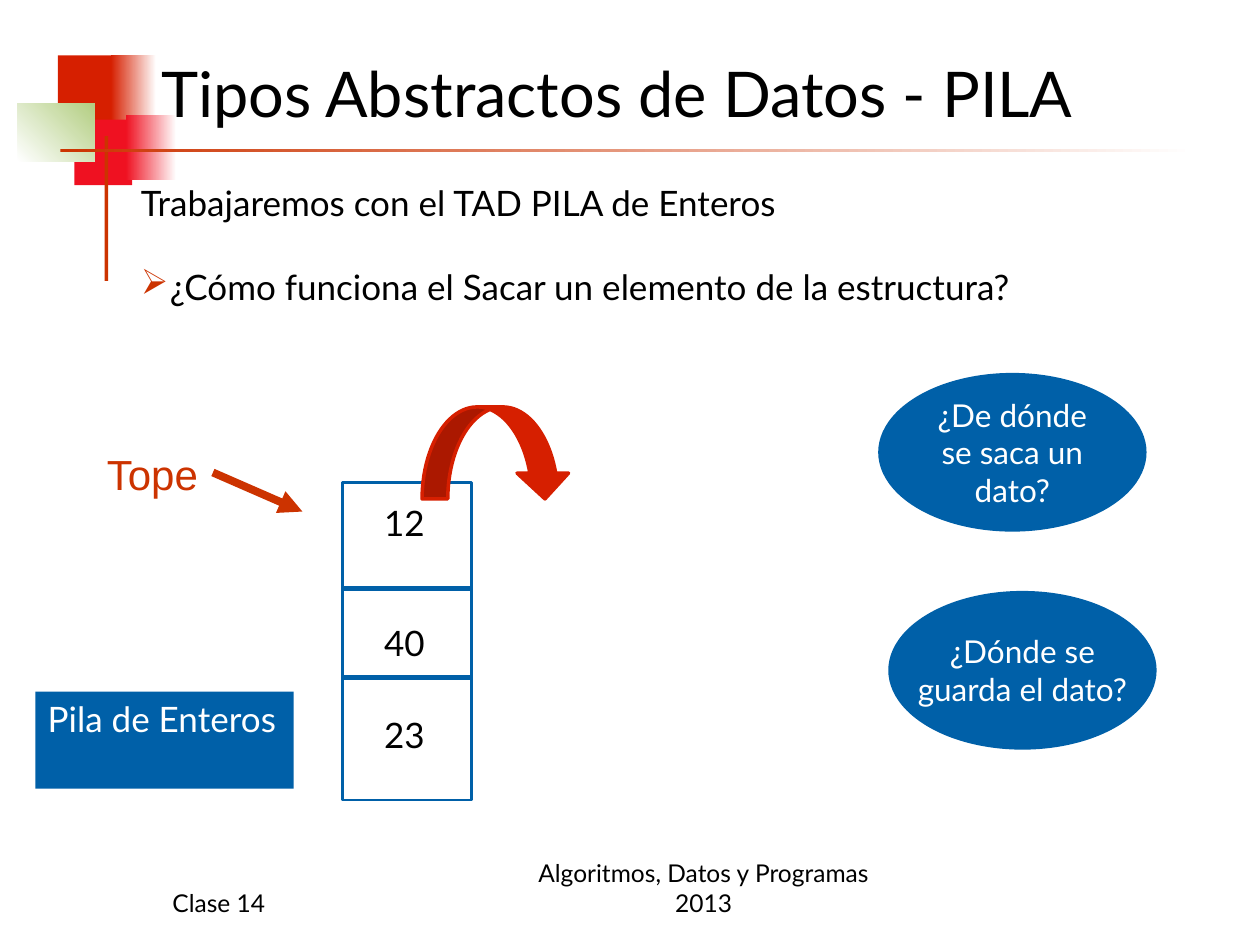
from lxml import etree
from pptx import Presentation
from pptx.dml.color import RGBColor
from pptx.enum.shapes import MSO_CONNECTOR, MSO_SHAPE
from pptx.enum.text import MSO_ANCHOR, PP_ALIGN
from pptx.oxml.ns import qn
from pptx.util import Inches, Pt

COLORS = {name: RGBColor.from_string(value) for name, value in {
    "black": "000000", "white": "FFFFFF", "blue": "0060A8", "red": "D61F00",
    "crimson": "EF1121", "green": "B3CE82", "rust": "CC3300",
}.items()}

presentation = Presentation()
presentation.slide_width, presentation.slide_height = Inches(10), Inches(7.5)
slide = presentation.slides.add_slide(presentation.slide_layouts[6])


def add_block(kind, box, fill=None, line=None, width=1.5):
    shape = slide.shapes.add_shape(kind, *map(Inches, box))
    shape.shadow.inherit = False
    if fill:
        shape.fill.solid()
        shape.fill.fore_color.rgb = COLORS[fill]
    else:
        shape.fill.background()
    if line:
        shape.line.color.rgb = COLORS[line]
        shape.line.width = Pt(width)
    else:
        shape.line.fill.background()
    return shape


def write(shape, lines, size, color="black", align=PP_ALIGN.LEFT,
          anchor=MSO_ANCHOR.TOP, wrap=True, font="Lato"):
    frame = shape.text_frame
    frame.word_wrap = wrap
    frame.vertical_anchor = anchor
    frame.text = "\n".join(lines)
    for paragraph in frame.paragraphs:
        paragraph.alignment = align
        paragraph.font.size = Pt(size)
        paragraph.font.name = font
        paragraph.font.color.rgb = COLORS[color]
    return frame


for box, start, end, angle in [
    ((0.46, 0.44, 0.48, 0.52), "red", None, 0),
    ((0.88, 0.44, 0.36, 0.52), "red", "white", 0),
    ((0.59, 0.95, 0.46, 0.52), "crimson", None, 0),
    ((1, 0.91, 0.4, 0.52), "crimson", "white", 0),
    ((0.14, 0.82, 0.61, 0.46), "white", "green", 45),
    ((0.83, 1.08, 0.03, 1.15), "rust", None, 0),
    ((0.48, 1.18, 9, 0.03), "rust", "white", 0),
]:
    block = add_block(MSO_SHAPE.RECTANGLE, box, start)
    if end:
        block.fill.gradient()
        block.fill.gradient_angle = angle
        for stop, name in zip(block.fill.gradient_stops, (start, end)):
            stop.color.rgb = COLORS[name]

for box, text, size, align in [
    ((1.18, 0.21, 7.76, 0.87), "Tipos Abstractos de Datos - PILA", 36, PP_ALIGN.LEFT),
    ((4, 6.83, 3.17, 0.5), "Algoritmos, Datos y Programas 2013", 14, PP_ALIGN.CENTER),
    ((1.27, 6.83, 2.08, 0.5), "Clase 14", 14, PP_ALIGN.LEFT),
]:
    write(slide.shapes.add_textbox(*map(Inches, box)), [text], size,
          align=align, anchor=MSO_ANCHOR.BOTTOM)

body = slide.shapes.add_textbox(Inches(1.02), Inches(1.39), Inches(8.7), Inches(1.77))
question = write(body, ["Trabajaremos con el TAD PILA de Enteros",
                        "¿Cómo funciona el Sacar un elemento de la estructura?"],
                 20, align=PP_ALIGN.JUSTIFY).paragraphs[1]
question.space_before = Pt(24)
properties = question._p.get_or_add_pPr()
properties.set("marL", str(Inches(0.23)))
properties.set("indent", str(-Inches(0.23)))
bullet_color = etree.Element(qn("a:buClr"))
etree.SubElement(bullet_color, qn("a:srgbClr"), val=str(COLORS["rust"]))
bullet = etree.Element(qn("a:buChar"), char="➢")
default_run = properties.find(qn("a:defRPr"))
default_run.addprevious(bullet_color)
default_run.addprevious(bullet)

add_block(MSO_SHAPE.RECTANGLE, (2.72, 3.83, 1.02, 2.52), line="blue")
for value, top in [("12", 3.93), ("40", 4.88), ("23", 5.61)]:
    box = slide.shapes.add_textbox(Inches(2.95), Inches(top), Inches(0.55), Inches(0.44))
    write(box, [value], 20, align=PP_ALIGN.JUSTIFY)

for start, end, color, width in [
    ((2.72, 4.67), (3.74, 4.67), "blue", 3),
    ((2.72, 5.38), (3.74, 5.38), "blue", 3),
    ((1.69, 3.75), (2.4, 4.06), "rust", 4.5),
]:
    connector = slide.shapes.add_connector(MSO_CONNECTOR.STRAIGHT, *map(Inches, start + end))
    connector.line.color.rgb = COLORS[color]
    connector.line.width = Pt(width)
    etree.SubElement(connector._element.spPr, qn("a:effectLst"))
etree.SubElement(connector.line._get_or_add_ln(), qn("a:tailEnd"), type="triangle")

top_label = slide.shapes.add_textbox(Inches(0.75), Inches(3.51), Inches(0.96), Inches(0.5))
write(top_label, ["Tope"], 24, "rust", wrap=False, font="Arial")

stack_label = add_block(MSO_SHAPE.RECTANGLE, (0.28, 5.49, 2.05, 0.77), "blue")
write(stack_label, ["Pila de Enteros"], 20, "white", PP_ALIGN.JUSTIFY)

pop_arrow = add_block(MSO_SHAPE.CURVED_DOWN_ARROW, (3.35, 3.23, 1.18, 0.73), "red", "red", 2)
for index, amount in enumerate((0.28, 0.56, 0.28)):
    pop_arrow.adjustments[index] = amount

for left, top, lines in [
    (6.97, 2.96, ["¿De dónde", "se saca un", "dato?"]),
    (7.05, 4.69, ["¿Dónde se", "guarda el dato?"]),
]:
    ellipse = add_block(MSO_SHAPE.OVAL, (left, top, 2.13, 1.26), "blue")
    write(ellipse, lines, 18, "white", PP_ALIGN.CENTER, MSO_ANCHOR.MIDDLE, False)

presentation.save("out.pptx")
